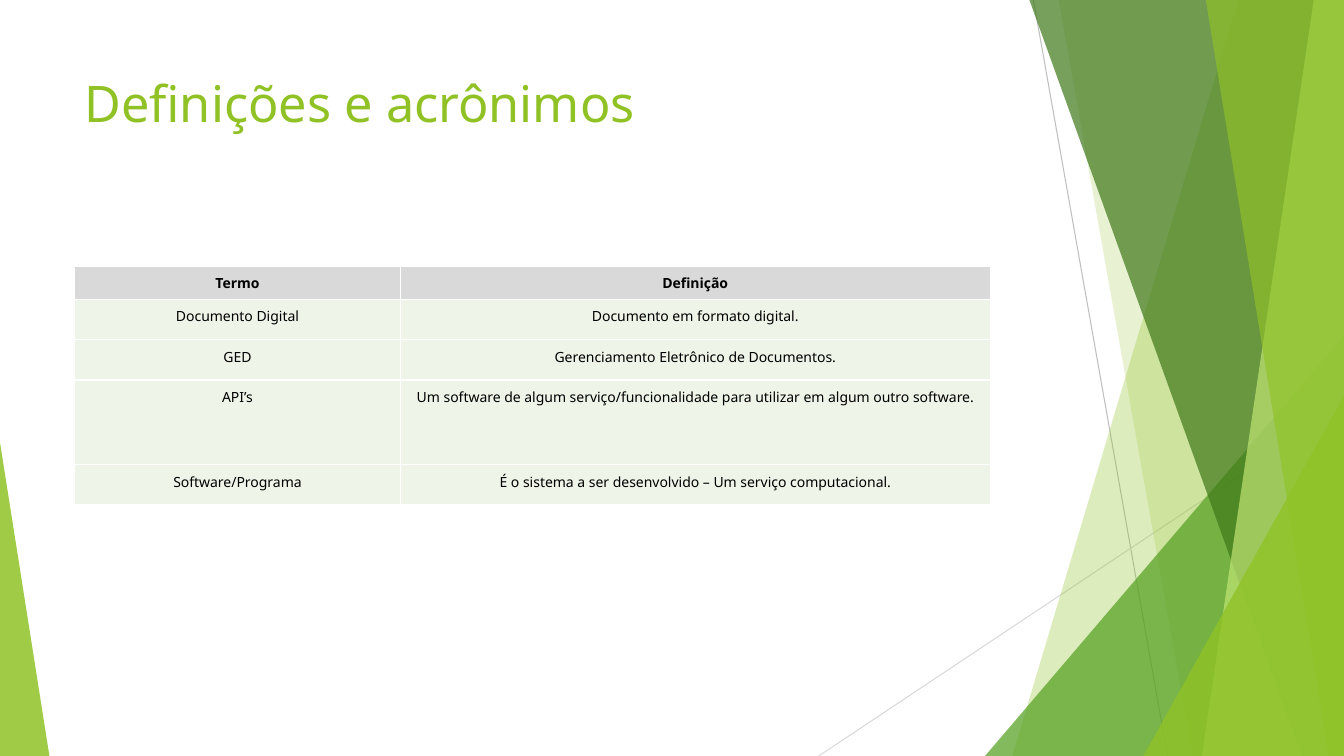
import pptx
import pptx.dml.color
import pptx.enum.shapes
import pptx.enum.text
import pptx.oxml
import pptx.oxml.ns
import pptx.util
from pptx.util import Inches

WIDTH, HEIGHT = 13.33, 7.5
LIME, GREEN, FOREST, PALE = "90C226", "54A021", "3F7819", "C0E474"


def color(value):
    return pptx.dml.color.RGBColor.from_string(value)


def add_xml(parent, tag, **attributes):
    child = pptx.oxml.parse_xml(f"<a:{tag} {pptx.oxml.ns.nsdecls('a')}/>")
    for name, value in attributes.items():
        child.set(name, str(value))
    parent.append(child)
    return child


class SlideBuilder:
    font = "Noto Sans"

    def __init__(self, slide):
        self.slide = slide
        self.shapes = slide.shapes

    def style_text(self, paragraph, size, text_color, bold=False):
        paragraph.font.name = self.font
        paragraph.font.size = pptx.util.Pt(size)
        paragraph.font.bold = bold
        paragraph.font.color.rgb = color(text_color)

    def paint(self, shape, fill, opacity):
        shape.shadow.inherit = False
        shape.fill.solid()
        shape.fill.fore_color.rgb = color(fill)
        shape.line.fill.background()
        solid = shape.fill._xPr.find(pptx.oxml.ns.qn("a:solidFill"))
        add_xml(solid[0], "alpha", val=opacity * 1000)

    def line(self, start, end, line_color):
        connector = self.shapes.add_connector(
            pptx.enum.shapes.MSO_CONNECTOR.STRAIGHT,
            *(Inches(value) for value in start + end))
        connector.line.color.rgb = color(line_color)
        connector.line.width = pptx.util.Pt(0.75)
        add_xml(connector._element.spPr, "effectLst")

    def facet(self, top_left, bottom_left, fill, opacity):
        """Band from a slanted left edge to the right side of the slide."""
        corners = [(top_left, 0), (WIDTH, 0), (WIDTH, HEIGHT), (bottom_left, HEIGHT)]
        points = [(Inches(x), Inches(y)) for x, y in corners]
        builder = self.shapes.build_freeform(*points[0], scale=1.0)
        builder.add_line_segments(points[1:], close=True)
        self.paint(builder.convert_to_shape(), fill, opacity)

    def triangle(self, left, top, width, apex, fill, opacity):
        """Triangle standing on the bottom edge of the slide."""
        shape = self.shapes.add_shape(
            pptx.enum.shapes.MSO_SHAPE.ISOSCELES_TRIANGLE,
            Inches(left), Inches(top), Inches(width), Inches(HEIGHT - top))
        shape.adjustments[0] = apex
        self.paint(shape, fill, opacity)

    def title(self, text, left, top, width, height):
        box = self.shapes.add_textbox(
            Inches(left), Inches(top), Inches(width), Inches(height))
        box.text_frame.word_wrap = True
        paragraph = box.text_frame.paragraphs[0]
        paragraph.text = text
        self.style_text(paragraph, 36, LIME)

    def cell(self, cell, text, header):
        cell.margin_left = cell.margin_right = Inches(0.07)
        cell.margin_top = cell.margin_bottom = 0
        properties = cell._tc.get_or_add_tcPr()
        for side in ("lnL", "lnR", "lnT", "lnB"):
            border = add_xml(properties, side, w=pptx.util.Pt(1))
            add_xml(add_xml(border, "solidFill"), "srgbClr", val="FFFFFF")
        cell.fill.solid()
        cell.fill.fore_color.rgb = color("D9D9D9" if header else "EEF4E8")
        paragraph = cell.text_frame.paragraphs[0]
        paragraph.text = text
        paragraph.alignment = pptx.enum.text.PP_ALIGN.CENTER
        paragraph.line_spacing = 1.4
        paragraph.space_after = pptx.util.Pt(4 if header else 9)
        self.style_text(paragraph, 10, "000000", bold=header)

    def table(self, rows, left, top, widths, heights):
        table = self.shapes.add_table(
            len(rows), len(widths), Inches(left), Inches(top),
            Inches(sum(widths)), Inches(sum(heights))).table
        for column, width in zip(table.columns, widths):
            column.width = Inches(width)
        for row, height in zip(table.rows, heights):
            row.height = Inches(height)
        for row_index, texts in enumerate(rows):
            for column_index, text in enumerate(texts):
                self.cell(table.cell(row_index, column_index), text, row_index == 0)


deck = pptx.Presentation()
deck.slide_width, deck.slide_height = Inches(WIDTH), Inches(HEIGHT)
page = SlideBuilder(deck.slides.add_slide(deck.slide_layouts[6]))

# Green facets, back to front
page.line((10.25, 0), (11.58, HEIGHT), "BFBFBF")
page.line((WIDTH, 4.03), (8.12, HEIGHT), "D9D9D9")
page.facet(12.28, 10.04, LIME, 30)
page.facet(10.5, 11.83, LIME, 20)
page.triangle(9.77, 3.33, 3.56, 1, GREEN, 72)
page.facet(10.21, 12.91, FOREST, 70)
page.facet(13.03, 11.92, PALE, 70)
page.facet(11.96, 13.18, LIME, 65)
page.triangle(11.34, 3.93, 1.99, 1, LIME, 80)
page.triangle(0, 4.39, 0.49, 0, LIME, 85)

# Title
page.title("Definições e acrônimos", 0.74, 0.67, 9.4, 1.44)

# Glossary table
glossary = [
    ("Termo", "Definição"),
    ("Documento Digital", "Documento em formato digital."),
    ("GED", "Gerenciamento Eletrônico de Documentos."),
    ("API’s", "Um software de algum serviço/funcionalidade para utilizar "
              "em algum outro software."),
    ("Software/Programa", "É o sistema a ser desenvolvido – Um serviço computacional."),
]
page.table(glossary, 0.74, 2.64, [3.23, 5.85], [0.33, 0.4, 0.4, 0.84, 0.4])

deck.save("out.pptx")
